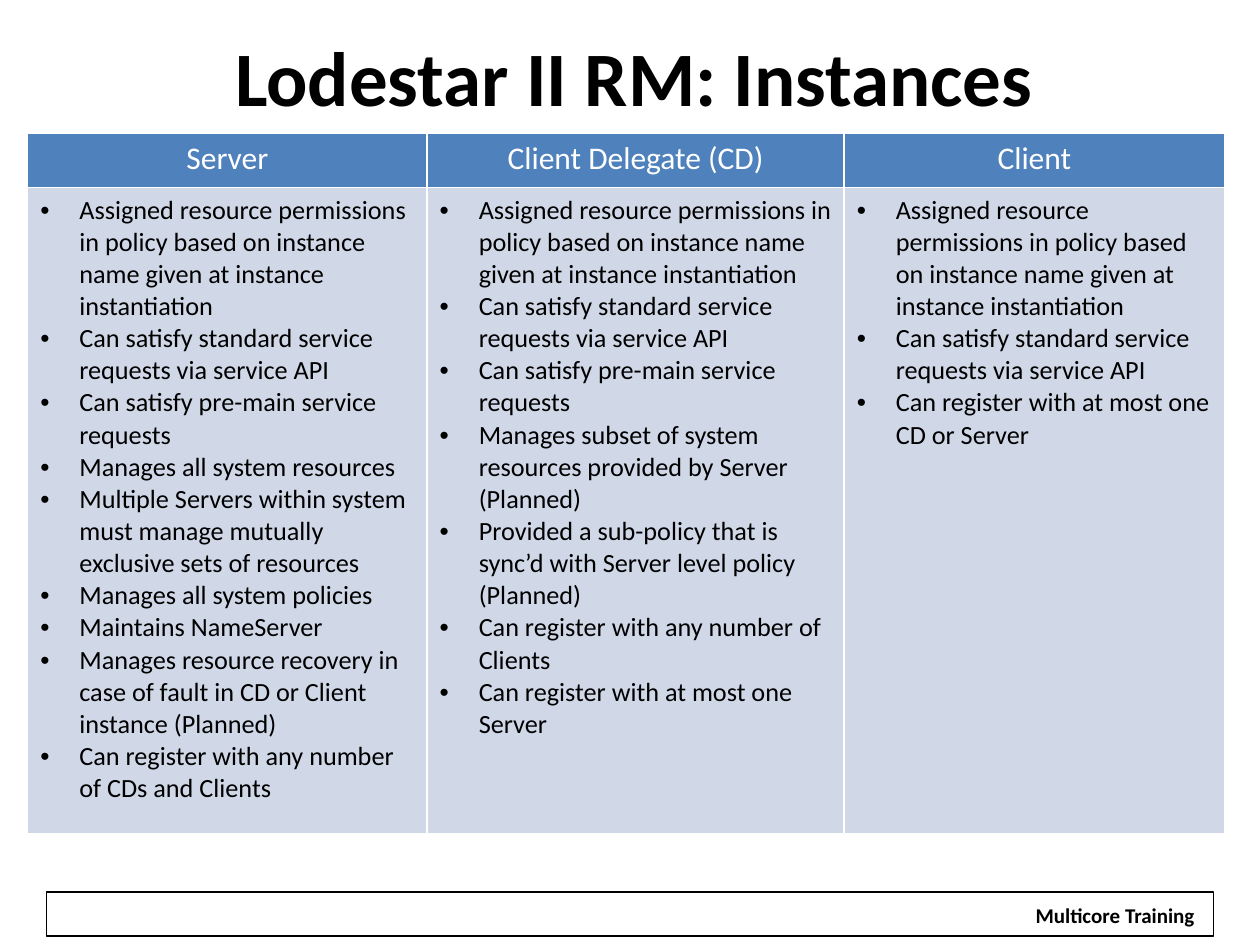
from dataclasses import dataclass

from lxml.etree import SubElement
from pptx import Presentation
from pptx.dml.color import RGBColor
from pptx.enum.shapes import MSO_SHAPE
from pptx.enum.text import MSO_ANCHOR, PP_ALIGN
from pptx.oxml.ns import qn
from pptx.util import Inches, Pt


@dataclass(frozen=True)
class Theme:
    font: str = "Calibri"
    ink: str = "000000"
    paper: str = "FFFFFF"
    header_fill: str = "4F81BD"
    body_fill: str = "D0D8E8"
    title_size: int = 44
    header_size: int = 18
    body_size: int = 15
    footer_size: int = 12
    rule_width: float = 1
    frame_width: float = 0.75


@dataclass(frozen=True)
class InstanceType:
    name: str
    width: float
    traits: tuple[str, ...]


THEME = Theme()

PERMISSIONS = (
    "Assigned resource permissions in policy based on instance name "
    "given at instance instantiation"
)
STANDARD_REQUESTS = "Can satisfy standard service requests via service API"
PRE_MAIN_REQUESTS = "Can satisfy pre-main service requests"

INSTANCE_TYPES = (
    InstanceType("Server", 3.17, (
        PERMISSIONS,
        STANDARD_REQUESTS,
        PRE_MAIN_REQUESTS,
        "Manages all system resources",
        "Multiple Servers within system must manage mutually exclusive sets of resources",
        "Manages all system policies",
        "Maintains NameServer",
        "Manages resource recovery in case of fault in CD or Client instance (Planned)",
        "Can register with any number of CDs and Clients",
    )),
    InstanceType("Client Delegate (CD)", 3.31, (
        PERMISSIONS,
        STANDARD_REQUESTS,
        PRE_MAIN_REQUESTS,
        "Manages subset of system resources provided by Server (Planned)",
        "Provided a sub-policy that is sync’d with Server level policy (Planned)",
        "Can register with any number of Clients",
        "Can register with at most one Server",
    )),
    InstanceType("Client", 3.02, (
        PERMISSIONS,
        STANDARD_REQUESTS,
        "Can register with at most one CD or Server",
    )),
)


def rgb(color: str) -> RGBColor:
    return RGBColor.from_string(color)


def style_text(paragraph, size: int, color: str, bold: bool = False) -> None:
    for run in paragraph.runs:
        run.font.name = THEME.font
        run.font.size = Pt(size)
        run.font.bold = bold
        run.font.color.rgb = rgb(color)


def add_bullet(paragraph, indent: float) -> None:
    properties = paragraph._p.get_or_add_pPr()
    properties.set("marL", str(Inches(indent)))
    properties.set("indent", str(-Inches(indent)))
    SubElement(properties, qn("a:buFont"), typeface="Arial")
    SubElement(properties, qn("a:buChar"), char="•")


def style_cell(cell, fill: str) -> None:
    """Rule all four sides of the cell, then fill it."""
    properties = cell._tc.get_or_add_tcPr()
    for side in ("a:lnL", "a:lnR", "a:lnT", "a:lnB"):
        rule = SubElement(properties, qn(side), w=str(Pt(THEME.rule_width)))
        solid = SubElement(rule, qn("a:solidFill"))
        SubElement(solid, qn("a:srgbClr"), val=THEME.paper)
    cell.fill.solid()
    cell.fill.fore_color.rgb = rgb(fill)


def add_title(slide, text: str) -> None:
    title = slide.shapes.add_textbox(Inches(0.41), Inches(0.18), Inches(9.25), Inches(0.84))
    frame = title.text_frame
    frame.word_wrap = True
    frame.vertical_anchor = MSO_ANCHOR.MIDDLE
    frame.text = text
    frame.paragraphs[0].alignment = PP_ALIGN.CENTER
    style_text(frame.paragraphs[0], THEME.title_size, THEME.ink, bold=True)


def add_footer(slide, text: str) -> None:
    frame = slide.shapes.add_shape(
        MSO_SHAPE.RECTANGLE, Inches(0.37), Inches(7.08), Inches(9.26), Inches(0.35))
    frame.shadow.inherit = False
    frame.fill.background()
    frame.line.color.rgb = rgb(THEME.ink)
    frame.line.width = Pt(THEME.frame_width)

    label = slide.shapes.add_shape(
        MSO_SHAPE.RECTANGLE, Inches(8.11), Inches(7.11), Inches(1.48), Inches(0.3))
    label.shadow.inherit = False
    label.fill.solid()
    label.fill.fore_color.rgb = rgb(THEME.paper)
    label.line.fill.background()
    label.text_frame.word_wrap = False
    label.text_frame.text = text
    label.text_frame.paragraphs[0].alignment = PP_ALIGN.CENTER
    style_text(label.text_frame.paragraphs[0], THEME.footer_size, THEME.ink, bold=True)


def add_comparison(slide, instance_types: tuple[InstanceType, ...]) -> None:
    row_heights = (0.43, 5.13)
    comparison = slide.shapes.add_table(
        len(row_heights), len(instance_types), Inches(0.22), Inches(1.06),
        Inches(sum(kind.width for kind in instance_types)), Inches(sum(row_heights))).table
    comparison.first_row = False
    comparison.horz_banding = False
    for row, height in zip(comparison.rows, row_heights):
        row.height = Inches(height)

    for index, kind in enumerate(instance_types):
        comparison.columns[index].width = Inches(kind.width)

        header = comparison.cell(0, index)
        style_cell(header, THEME.header_fill)
        header.text_frame.text = kind.name
        header.text_frame.paragraphs[0].alignment = PP_ALIGN.CENTER
        style_text(header.text_frame.paragraphs[0], THEME.header_size, THEME.paper)

        body = comparison.cell(1, index)
        style_cell(body, THEME.body_fill)
        body.text_frame.text = "\n".join(kind.traits)
        for trait in body.text_frame.paragraphs:
            add_bullet(trait, 0.31)
            style_text(trait, THEME.body_size, THEME.ink)


def main() -> None:
    presentation = Presentation()
    presentation.slide_width = Inches(10)
    presentation.slide_height = Inches(7.5)
    slide = presentation.slides.add_slide(presentation.slide_layouts[6])
    add_footer(slide, "Multicore Training")
    add_title(slide, "Lodestar II RM: Instances")
    add_comparison(slide, INSTANCE_TYPES)
    presentation.save("out.pptx")


if __name__ == "__main__":
    main()
